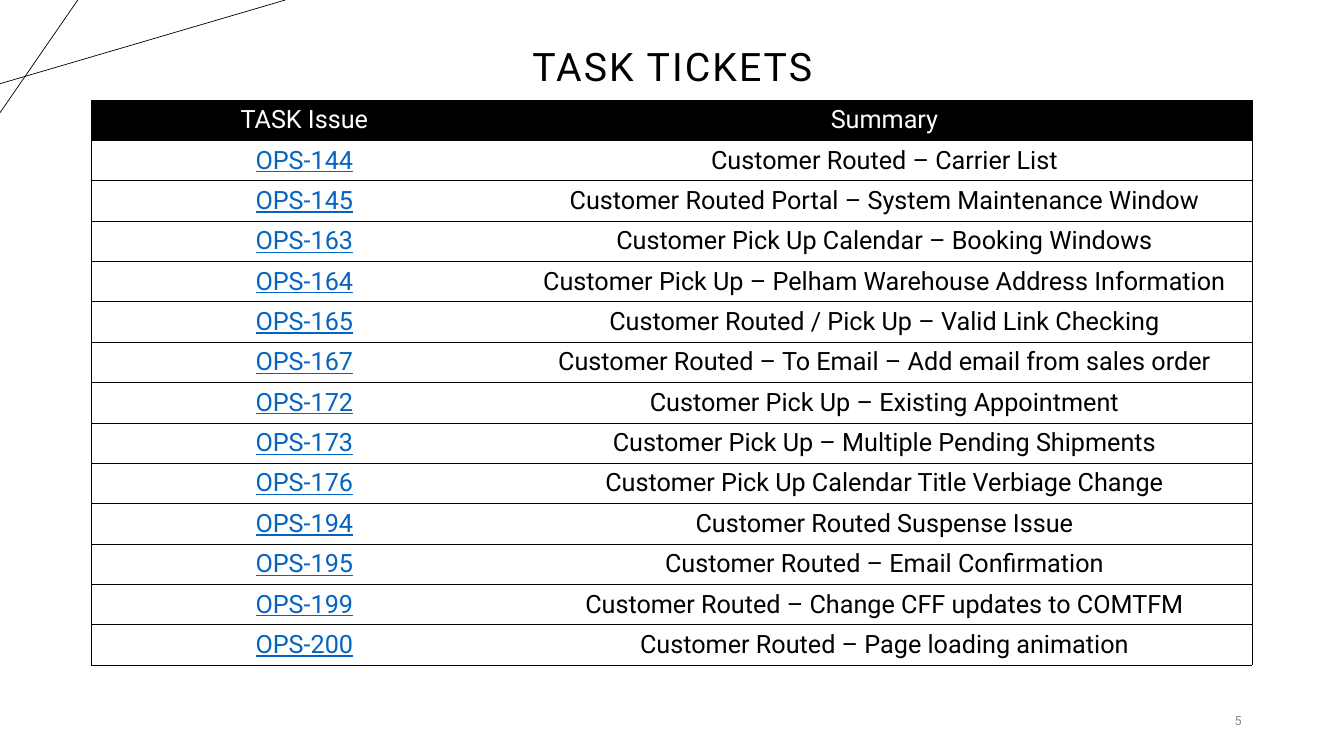
import dataclasses

import lxml.etree
import pptx
import pptx.dml.color
import pptx.enum.shapes
import pptx.enum.text
import pptx.oxml.ns
import pptx.slide
import pptx.table
import pptx.text.text
import pptx.util

Cm = pptx.util.Cm
Pt = pptx.util.Pt
RGBColor = pptx.dml.color.RGBColor
Align = pptx.enum.text.PP_ALIGN
Anchor = pptx.enum.text.MSO_ANCHOR
qn = pptx.oxml.ns.qn

BLACK = RGBColor(0x00, 0x00, 0x00)
WHITE = RGBColor(0xFF, 0xFF, 0xFF)
GREY = RGBColor(0x8C, 0x8C, 0x8C)
LINK_BLUE = RGBColor(0x05, 0x63, 0xC1)
FONT = "Roboto"
HAIRLINE = Pt(0.5)
ROW_HEIGHT = Cm(1)
COLUMN_WIDTHS = (Cm(10.72), Cm(18.52))


@dataclasses.dataclass(frozen=True)
class Ticket:
    key: str
    summary: str


@dataclasses.dataclass(frozen=True)
class Label:
    text: str
    left: float
    top: float
    width: float
    height: float
    size: float
    color: RGBColor
    align: Align
    anchor: Anchor


@dataclasses.dataclass(frozen=True)
class CornerLine:
    """A line from the left edge to the top edge of the page."""
    left_edge_y: float
    top_edge_x: float


TICKETS = (
    Ticket("OPS-144", "Customer Routed – Carrier List"),
    Ticket("OPS-145", "Customer Routed Portal – System Maintenance Window"),
    Ticket("OPS-163", "Customer Pick Up Calendar – Booking Windows"),
    Ticket("OPS-164", "Customer Pick Up – Pelham Warehouse Address Information"),
    Ticket("OPS-165", "Customer Routed / Pick Up – Valid Link Checking"),
    Ticket("OPS-167", "Customer Routed – To Email – Add email from sales order"),
    Ticket("OPS-172", "Customer Pick Up – Existing Appointment"),
    Ticket("OPS-173", "Customer Pick Up – Multiple Pending Shipments"),
    Ticket("OPS-176", "Customer Pick Up Calendar Title Verbiage Change"),
    Ticket("OPS-194", "Customer Routed Suspense Issue"),
    Ticket("OPS-195", "Customer Routed – Email Confirmation"),
    Ticket("OPS-199", "Customer Routed – Change CFF updates to COMTFM"),
    Ticket("OPS-200", "Customer Routed – Page loading animation"),
)
CORNER_LINES = (CornerLine(2.11, 7.19), CornerLine(2.84, 1.96))
TITLE = Label("TASK TICKETS", 2.34, 0.99, 29.21, 1.4, 28, BLACK, Align.CENTER, Anchor.BOTTOM)
PAGE_NUMBER = Label("5", 28.8, 17.65, 2.74, 1.02, 9, GREY, Align.RIGHT, Anchor.MIDDLE)


def draw_corner_line(page: pptx.slide.Slide, line: CornerLine) -> None:
    connector = page.shapes.add_connector(
        pptx.enum.shapes.MSO_CONNECTOR.STRAIGHT,
        Cm(0), Cm(line.left_edge_y), Cm(line.top_edge_x), Cm(0))
    connector.line.color.rgb = BLACK
    connector.line.width = HAIRLINE
    properties = connector.element.find(qn("p:spPr"))
    lxml.etree.SubElement(properties, qn("a:effectLst"))


def style_paragraph(para: pptx.text.text._Paragraph, size: float,
                    color: RGBColor, align: Align) -> None:
    para.alignment = align
    para.font.name = FONT
    para.font.size = Pt(size)
    para.font.bold = False
    para.font.color.rgb = color


def draw_label(page: pptx.slide.Slide, label: Label) -> pptx.text.text._Paragraph:
    box = page.shapes.add_textbox(
        Cm(label.left), Cm(label.top), Cm(label.width), Cm(label.height))
    frame = box.text_frame
    frame.word_wrap = True
    frame.vertical_anchor = label.anchor
    para = frame.paragraphs[0]
    para.text = label.text
    style_paragraph(para, label.size, label.color, label.align)
    return para


def set_border(cell: pptx.table._Cell, side: str, visible: bool) -> None:
    properties = cell._tc.get_or_add_tcPr()
    border = lxml.etree.SubElement(properties, qn(f"a:ln{side}"), w=str(int(HAIRLINE)))
    if visible:
        fill = lxml.etree.SubElement(border, qn("a:solidFill"))
        lxml.etree.SubElement(fill, qn("a:srgbClr"), val=str(BLACK))
    else:
        lxml.etree.SubElement(border, qn("a:noFill"))


def fill_cell(cell: pptx.table._Cell, text: str, is_header: bool, is_first: bool) -> None:
    cell.vertical_anchor = Anchor.MIDDLE
    for side, visible in (("L", is_first), ("R", not is_first), ("T", True), ("B", True)):
        set_border(cell, side, visible)
    cell.fill.solid()
    cell.fill.fore_color.rgb = BLACK if is_header else WHITE
    is_link = is_first and not is_header
    color = WHITE if is_header else LINK_BLUE if is_link else BLACK
    para = cell.text_frame.paragraphs[0]
    para.text = text
    style_paragraph(para, 18, color, Align.CENTER)
    para.font.underline = is_link


def draw_ticket_table(page: pptx.slide.Slide) -> None:
    rows = [("TASK Issue", "Summary")] + [(ticket.key, ticket.summary) for ticket in TICKETS]
    table = page.shapes.add_table(
        len(rows), len(COLUMN_WIDTHS), Cm(2.31), Cm(2.52),
        sum(COLUMN_WIDTHS), ROW_HEIGHT * len(rows)).table
    table.horz_banding = False
    for column, width in zip(table.columns, COLUMN_WIDTHS):
        column.width = width
    for row_index, texts in enumerate(rows):
        table.rows[row_index].height = ROW_HEIGHT
        for column_index, text in enumerate(texts):
            fill_cell(table.cell(row_index, column_index), text,
                      row_index == 0, column_index == 0)


def main() -> None:
    deck = pptx.Presentation()
    deck.slide_width, deck.slide_height = Cm(33.87), Cm(19.05)
    page = deck.slides.add_slide(deck.slide_layouts[6])
    page.background.fill.solid()
    page.background.fill.fore_color.rgb = WHITE
    for line in CORNER_LINES:
        draw_corner_line(page, line)
    title = draw_label(page, TITLE)
    title.line_spacing = 0.9
    for span in title.runs:
        span.font._element.set("spc", "150")
    draw_ticket_table(page)
    draw_label(page, PAGE_NUMBER)
    deck.save("out.pptx")


if __name__ == "__main__":
    main()
